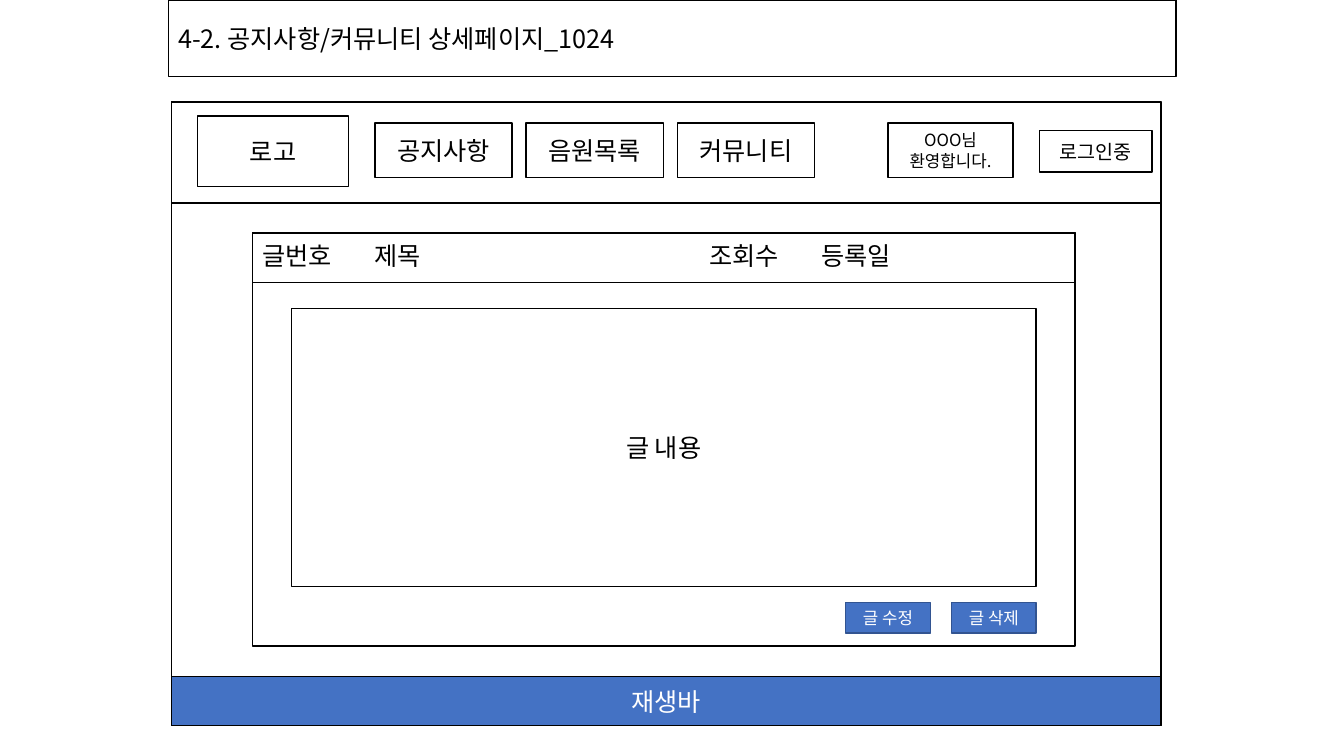
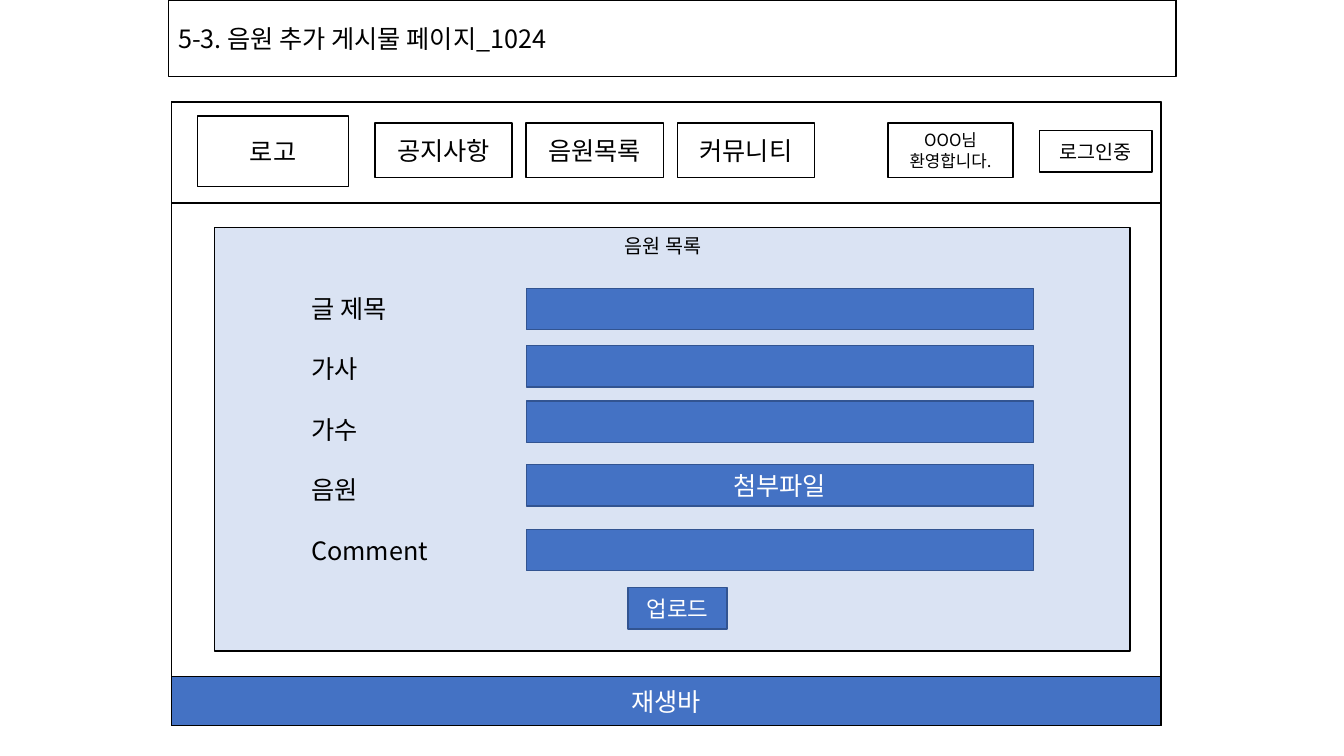
import pptx
import pptx.util
import pptx.dml.color
import pptx.enum.shapes
import pptx.enum.text
from lxml import etree
from pptx.oxml.ns import qn

Pt = pptx.util.Pt
ALIGN = pptx.enum.text.PP_ALIGN
ANCHOR = pptx.enum.text.MSO_ANCHOR

FONT = "Noto Sans CJK KR"
BLACK, WHITE = "000000", "FFFFFF"
BLUE, NAVY, PALE = "4472C4", "325491", "DAE3F3"

TITLE = (120.2, 0, 720, 54.7)
FRAME = (122.4, 73, 707, 445.4)
HEADER_H, PLAYER_H = 72, 35.3
MENU = ["공지사항", "음원목록", "커뮤니티"]


def rgb(value):
    return pptx.dml.color.RGBColor.from_string(value)


def inside(box, dx, dy, w, h):
    """Turn offsets within a box into a box on the slide."""
    return box[0] + dx, box[1] + dy, w, h


def write(tf, lines, size, color, align, gap=0):
    tf.word_wrap = True
    for i, line in enumerate(lines):
        p = tf.paragraphs[0] if i == 0 else tf.add_paragraph()
        p.alignment = align
        p.line_spacing = Pt(size * 1.2)
        p.space_before = Pt(gap if i else 0)
        r = p.add_run()
        r.text = line
        r.font.size = Pt(size)
        r.font.name = FONT
        r.font.color.rgb = rgb(color)
        etree.SubElement(r.font._element, qn("a:ea"), typeface=FONT)


def add_box(shapes, box, text="", size=18, fill=WHITE, line=BLACK,
            color=BLACK, align=ALIGN.CENTER):
    rect = pptx.enum.shapes.MSO_SHAPE.RECTANGLE
    sp = shapes.add_shape(rect, *map(Pt, box))
    sp.shadow.inherit = False
    if fill:
        sp.fill.solid()
        sp.fill.fore_color.rgb = rgb(fill)
    else:
        sp.fill.background()
    sp.line.color.rgb = rgb(line)
    sp.line.width = Pt(1)
    if text:
        sp.text_frame.vertical_anchor = ANCHOR.MIDDLE
        write(sp.text_frame, [text], size, color, align)


def add_blue_box(shapes, box, text="", size=18):
    add_box(shapes, box, text, size, BLUE, NAVY, WHITE)


def add_text(shapes, box, lines, size=18, gap=0):
    tf = shapes.add_textbox(*map(Pt, box)).text_frame
    write(tf, lines, size, BLACK, ALIGN.LEFT, gap)
    return tf


def set_tabs(p, stops):
    tabs = etree.SubElement(p._p.get_or_add_pPr(), qn("a:tabLst"))
    for stop in stops:
        etree.SubElement(tabs, qn("a:tab"), pos=str(int(Pt(stop))), algn="l")


def site_frame(s, box):
    """Draw the page outline, navigation header and player bar as one group."""
    shapes = s.shapes.add_group_shape().shapes
    w, h = box[2:]
    add_box(shapes, box)
    add_box(shapes, inside(box, 0, 0, w, HEADER_H))
    add_box(shapes, inside(box, 18.7, 9.8, 108, 50.4), "로고")
    for i, name in enumerate(MENU):
        add_box(shapes, inside(box, 145.4 + i * 108, 14.9, 98, 39), name)
    add_box(shapes, inside(box, 511.9, 14.9, 89.3, 39), "OOO님 환영합니다.", 12)
    add_box(shapes, inside(box, 619.9, 20.4, 80.6, 29.5), "로그인중", 14)
    add_box(shapes, inside(box, 0, h - PLAYER_H, w, PLAYER_H), "재생바",
            fill=BLUE, color=WHITE)


def post_panel(s, box):
    shapes = s.shapes
    w = box[2]
    add_box(shapes, box)
    add_box(shapes, inside(box, 0, 0, w, 35.3))
    tf = add_text(shapes, inside(box, 0, 1.7, w, 28.8),
                  ["글번호\t제목\t조회수\t등록일"])
    set_tabs(tf.paragraphs[0], [80, 319, 399])
    add_box(shapes, inside(box, 27.7, 54, 532, 198.7), "글 내용")
    for i, name in enumerate(["글 수정", "글 삭제"]):
        add_blue_box(shapes, inside(box, 423.7 + i * 75.6, 264.2, 60.5, 21.6),
                     name, 12)


def upload_panel(s, box):
    shapes = s.shapes
    add_box(shapes, box, fill=PALE)
    add_text(shapes, inside(box, 285.8, 0.7, 88.6, 24.5), ["음원 목록"], 14)
    add_text(shapes, inside(box, 61.9, 43.2, 139.7, 203.8),
             ["글 제목", "가사", "가수", "음원", "Comment"], gap=21.6)
    fields = [(43.2, ""), (84.2, ""), (123.8, ""), (169.2, "첨부파일"), (215.3, "")]
    for dy, text in fields:
        add_blue_box(shapes, inside(box, 222.5, dy, 362.2, 29.5), text)
    add_blue_box(shapes, inside(box, 295.2, 257, 70.6, 29.5), "업로드", 16)


def add_page(prs, title):
    s = prs.slides.add_slide(prs.slide_layouts[6])
    add_box(s.shapes, TITLE, title, fill=None, align=ALIGN.LEFT)
    site_frame(s, FRAME)
    return s


def main():
    prs = pptx.Presentation()
    prs.slide_width, prs.slide_height = Pt(960), Pt(540)
    s = add_page(prs, "4-2. 공지사항/커뮤니티 상세페이지_1024")
    post_panel(s, (180.4, 166.3, 587.5, 295.2))
    s = add_page(prs, "5-3. 음원 추가 게시물 페이지_1024")
    upload_panel(s, (153.4, 162.7, 653.8, 302.4))
    prs.save("out.pptx")


if __name__ == "__main__":
    main()
